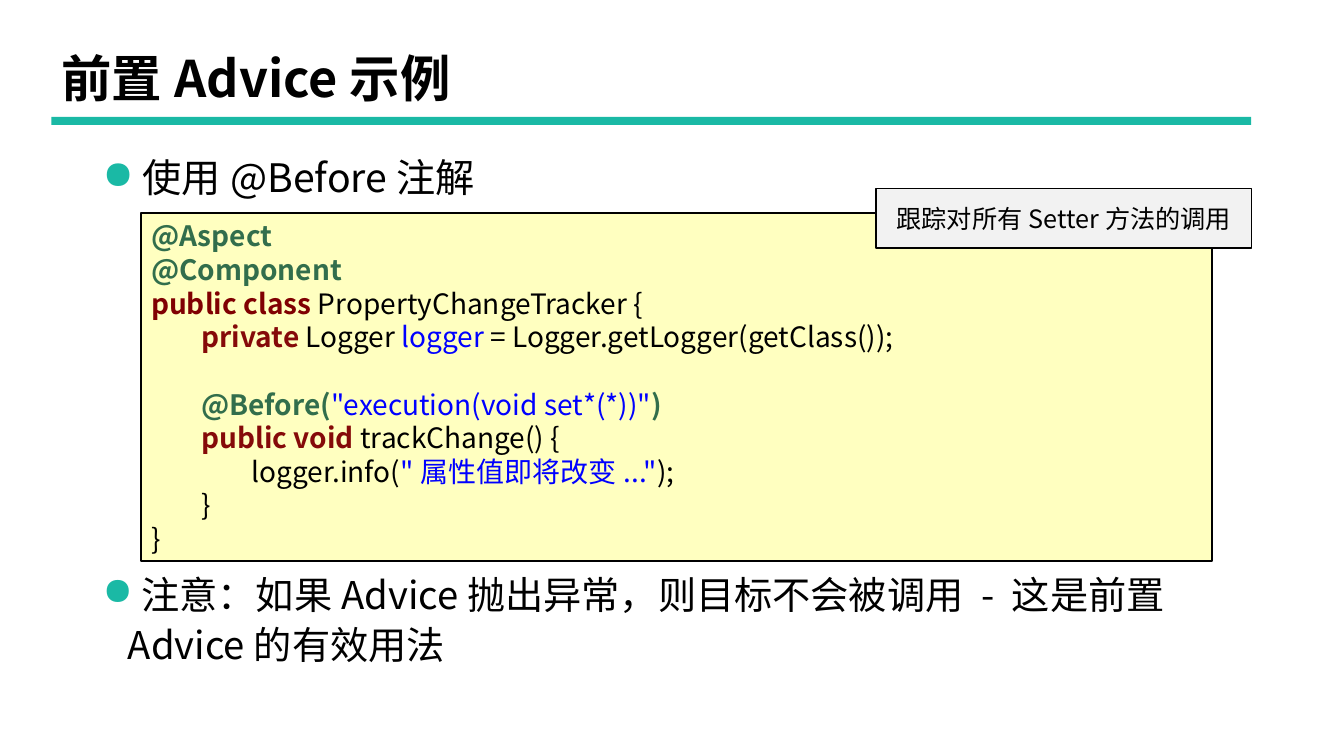
from lxml import etree
from pptx import Presentation
from pptx import util as u
from pptx.dml.color import RGBColor
from pptx.enum import shapes, text
from pptx.oxml import ns

FONT = "Noto Sans CJK SC"
BLACK = RGBColor(0x00, 0x00, 0x00)
TEAL = RGBColor(0x1A, 0xB9, 0xA5)
CREAM = RGBColor(0xFF, 0xFF, 0xC0)
GREY = RGBColor(0xF2, 0xF2, 0xF2)
GREEN = RGBColor(0x32, 0x6E, 0x4C)
DARK_RED = RGBColor(0x80, 0x00, 0x02)
RED = RGBColor(0x85, 0x0A, 0x09)
BLUE = RGBColor(0x00, 0x00, 0xFF)

PLAIN = {"color": BLACK, "bold": False}
ANNOTATION = {"color": GREEN, "bold": True}
CLASS_KEYWORD = {"color": DARK_RED, "bold": True}
KEYWORD = {"color": RED, "bold": True}
LITERAL = {"color": BLUE, "bold": False}

INDENT = " " * 8
CODE = [
    [("@Aspect", ANNOTATION)],
    [("@Component", ANNOTATION)],
    [("public class ", CLASS_KEYWORD), ("PropertyChangeTracker {", PLAIN)],
    [(INDENT, PLAIN), ("private ", KEYWORD), ("Logger ", PLAIN),
     ("logger", LITERAL), (" = Logger.getLogger(getClass());", PLAIN)],
    [(INDENT, PLAIN), ("@Before(", ANNOTATION),
     ('"execution(void set*(*))"', LITERAL), (")", ANNOTATION)],
    [(INDENT, PLAIN), ("public void ", KEYWORD), ("trackChange() {", PLAIN)],
    [(INDENT * 2 + "logger.info(", PLAIN), ('"属性值即将改变..."', LITERAL), (");", PLAIN)],
    [(INDENT + "}", PLAIN)],
    [("}", PLAIN)],
]
METHOD_START = 4


def set_attributes(target, values):
    for name, value in values.items():
        setattr(target, name, value)


def add_run(paragraph, words, size, color=BLACK, bold=False):
    run = paragraph.add_run()
    run.text = words
    set_attributes(run.font, {"name": FONT, "size": u.Pt(size), "bold": bold})
    run.font.color.rgb = color
    properties = run._r.get_or_add_rPr()
    etree.SubElement(properties, ns.qn("a:ea"), typeface=FONT)


def add_panel(slide, box, fill, line_width=0):
    panel = slide.shapes.add_shape(shapes.MSO_SHAPE.RECTANGLE, *map(u.Inches, box))
    panel.shadow.inherit = False
    panel.fill.solid()
    panel.fill.fore_color.rgb = fill
    if line_width:
        panel.line.color.rgb = BLACK
        panel.line.width = u.Pt(line_width)
    else:
        panel.line.fill.background()
    set_attributes(panel.text_frame, {
        "word_wrap": True, "vertical_anchor": text.MSO_ANCHOR.MIDDLE})
    return panel


def add_heading(slide, box, words):
    left, top, width, height = box
    add_panel(slide, (left, top + 0.77, width, 0.08), TEAL)
    title = slide.shapes.title
    set_attributes(title, {
        "left": u.Inches(left), "top": u.Inches(top),
        "width": u.Inches(width), "height": u.Inches(height)})
    set_attributes(title.text_frame, {
        "word_wrap": True, "auto_size": text.MSO_AUTO_SIZE.NONE,
        "vertical_anchor": text.MSO_ANCHOR.MIDDLE})
    paragraph = title.text_frame.paragraphs[0]
    set_attributes(paragraph, {"alignment": text.PP_ALIGN.LEFT, "line_spacing": 0.9})
    add_run(paragraph, words, 36, bold=True)


def add_bullet(slide, box, words, size):
    frame = slide.shapes.add_textbox(*map(u.Inches, box)).text_frame
    frame.word_wrap = True
    paragraph = frame.paragraphs[0]
    properties = paragraph._p.get_or_add_pPr()
    properties.set("marL", str(u.Inches(0.25)))
    properties.set("indent", str(-u.Inches(0.25)))
    bullet_color = etree.SubElement(properties, ns.qn("a:buClr"))
    etree.SubElement(bullet_color, ns.qn("a:srgbClr"), val=str(TEAL))
    etree.SubElement(properties, ns.qn("a:buChar"), char="●")
    paragraph.line_spacing = 1.1
    add_run(paragraph, words, size)


def add_code(slide, box):
    frame = add_panel(slide, box, CREAM, 1.5).text_frame
    for index, line in enumerate(CODE):
        paragraph = frame.add_paragraph() if index else frame.paragraphs[0]
        paragraph.alignment = text.PP_ALIGN.LEFT
        if index == METHOD_START:
            paragraph.space_before = u.Pt(24)
        for words, style in line:
            add_run(paragraph, words, 20, **style)


def add_callout(slide, box, words):
    paragraph = add_panel(slide, box, GREY, 1).text_frame.paragraphs[0]
    paragraph.alignment = text.PP_ALIGN.CENTER
    add_run(paragraph, words, 18)


def main():
    presentation = Presentation()
    set_attributes(presentation, {
        "slide_width": u.Inches(13.33), "slide_height": u.Inches(7.5)})
    slide = presentation.slides.add_slide(presentation.slide_layouts[5])
    add_heading(slide, (0.51, 0.39, 11.9, 0.84), "前置Advice示例")
    add_bullet(slide, (0.92, 1.43, 11.5, 0.68), " 使用@Before注解", 28)
    add_code(slide, (1.4, 2.11, 10.62, 3.46))
    add_bullet(slide, (0.92, 5.57, 11.1, 1.1),
               " 注意：如果Advice抛出异常，则目标不会被调用 - 这是前置Advice的有效用法", 27.3)
    add_callout(slide, (8.69, 1.87, 3.72, 0.59), "跟踪对所有Setter方法的调用")
    presentation.save("out.pptx")


if __name__ == "__main__":
    main()
